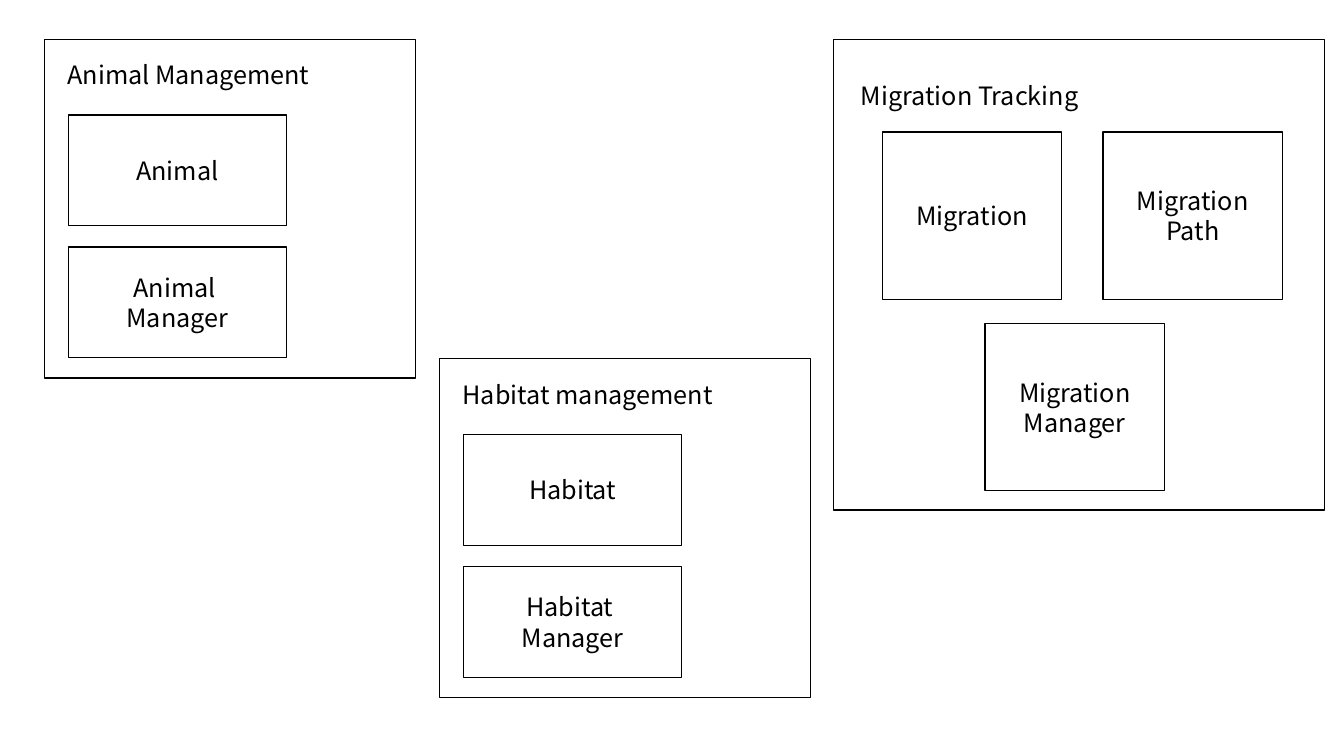
from dataclasses import dataclass

from pptx import Presentation
from pptx.dml.color import RGBColor
from pptx.enum import shapes, text
from pptx.util import Inches, Pt


@dataclass(frozen=True)
class Theme:
    ink: RGBColor = RGBColor(0, 0, 0)
    font: str = "Noto Sans CJK SC"
    size: Pt = Pt(18)
    line: Pt = Pt(1)


THEME = Theme()


def style(frame, align):
    for para in frame.paragraphs:
        para.alignment = align
        for run in para.runs:
            run.font.name = THEME.font
            run.font.size = THEME.size
            run.font.color.rgb = THEME.ink


def add_box(group, x, y, w, h, label=""):
    box = group.shapes.add_shape(
        shapes.MSO_SHAPE.RECTANGLE, Inches(x), Inches(y), Inches(w), Inches(h))
    box.shadow.inherit = False
    box.fill.background()
    box.line.color.rgb = THEME.ink
    box.line.width = THEME.line
    frame = box.text_frame
    frame.text = label
    frame.vertical_anchor = text.MSO_ANCHOR.MIDDLE
    style(frame, text.PP_ALIGN.CENTER)


def add_title(group, x, y, w, label, wrap=True):
    title = group.shapes.add_textbox(Inches(x), Inches(y), Inches(w), Inches(0.4))
    frame = title.text_frame
    frame.text = label
    frame.word_wrap = wrap
    frame.auto_size = text.MSO_AUTO_SIZE.SHAPE_TO_FIT_TEXT
    style(frame, text.PP_ALIGN.LEFT)


def add_module(slide, x, y, title, labels):
    """Draw a module whose classes stack in one column."""
    group = slide.shapes.add_group_shape()
    add_box(group, x, y, 3.68, 3.36)
    add_title(group, x + 0.13, y + 0.15, 2.89, title)
    for row, label in enumerate(labels):
        add_box(group, x + 0.24, y + 0.75 + row * 1.31, 2.16, 1.1, label)


def add_tracking(slide, x, y):
    """Draw the migration module: two classes above one."""
    group = slide.shapes.add_group_shape()
    add_box(group, x, y, 4.87, 4.67)
    add_title(group, x + 0.17, y + 0.36, 2.4, "Migration Tracking", wrap=False)
    spots = (
        (0.48, 0.92, "Migration"),
        (2.67, 0.92, "Migration\nPath"),
        (1.5, 2.82, "Migration\nManager"),
    )
    for dx, dy, label in spots:
        add_box(group, x + dx, y + dy, 1.78, 1.66, label)


def main():
    deck = Presentation()
    deck.slide_width, deck.slide_height = Inches(13.33), Inches(7.5)
    slide = deck.slides.add_slide(deck.slide_layouts[6])
    add_module(slide, 0.44, 0.39, "Animal Management",
               ("Animal", "Animal \nManager"))
    add_tracking(slide, 8.27, 0.39)
    add_module(slide, 4.36, 3.56, "Habitat management",
               ("Habitat", "Habitat \nManager"))
    deck.save("out.pptx")


if __name__ == "__main__":
    main()
